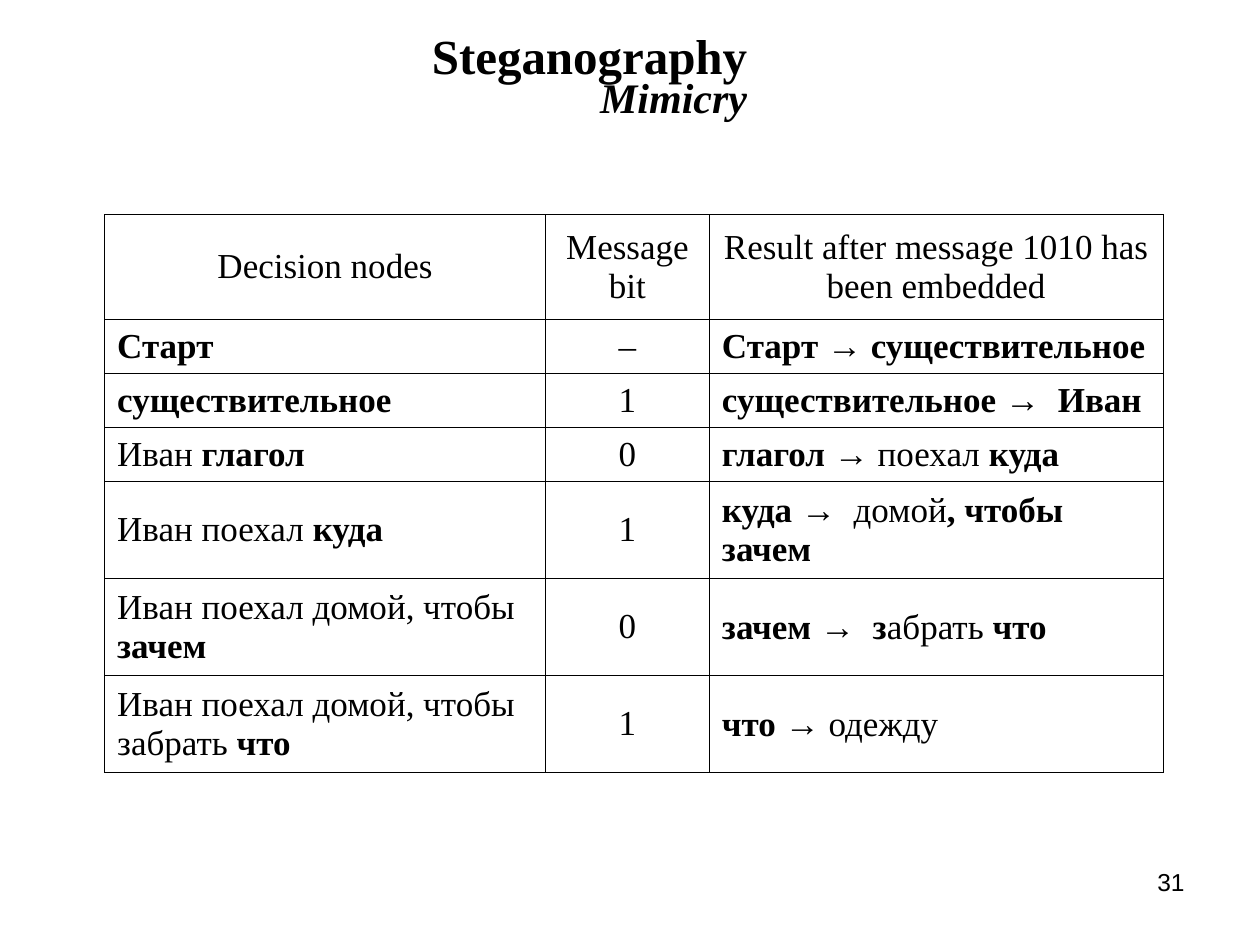
from lxml import etree
from pptx import Presentation, util as u
from pptx.dml.color import RGBColor
from pptx.enum import text as t
from pptx.oxml import ns

BLACK = RGBColor(0, 0, 0)
SERIF, SANS = "Times New Roman", "Arial"
WIDTH, HEIGHT = u.Inches(10), u.Inches(7.5)

# Asterisks enclose bold words.
ROWS = [
    ("Decision nodes", "Message bit", "Result after message 1010 has been embedded"),
    ("*Старт*", "–", "*Старт → существительное*"),
    ("*существительное*", "1", "*существительное →  Иван*"),
    ("Иван *глагол*", "0", "*глагол → *поехал *куда*"),
    ("Иван поехал *куда*", "1", "*куда →  *домой*, чтобы зачем*"),
    ("Иван поехал домой, чтобы *зачем*", "0", "*зачем →  з*абрать* что*"),
    ("Иван поехал домой, чтобы забрать* что*", "1", "*что → *одежду"),
]
COLUMN_SHARES = [0.35, 0.13, 0.36]
HEADER, SINGLE, DOUBLE = 0.83, 0.43, 0.77
ROW_INCHES = [HEADER] + [SINGLE] * 3 + [DOUBLE] * 3


def style(font, size, face=SERIF, bold=False):
    font.size, font.name, font.bold = u.Pt(size), face, bold
    font.color.rgb = BLACK


def draw_borders(cell):
    properties = cell._tc.get_or_add_tcPr()
    for position, side in enumerate(("a:lnL", "a:lnR", "a:lnT", "a:lnB")):
        line = etree.Element(ns.qn(side), w=str(u.Pt(0.45)))
        fill = etree.SubElement(line, ns.qn("a:solidFill"))
        etree.SubElement(fill, ns.qn("a:srgbClr"), val=str(BLACK))
        properties.insert(position, line)


deck = Presentation()
deck.slide_width, deck.slide_height = WIDTH, HEIGHT
slide = deck.slides.add_slide(deck.slide_layouts[5])

# Heading: both lines end at the same right edge
heading = slide.shapes.title
heading.left, heading.top = int(WIDTH * 0.24), int(HEIGHT * 0.028)
heading.width, heading.height = int(WIDTH * 0.533), int(HEIGHT * 0.1)
frame = heading.text_frame
frame.text = "Steganography\vMimicry"
frame.word_wrap = True
frame.auto_size = t.MSO_AUTO_SIZE.NONE
frame.vertical_anchor = t.MSO_ANCHOR.TOP
frame.margin_top = u.Inches(0.1)
frame.margin_right = int(WIDTH * 0.18)
lines = frame.paragraphs[0]
lines.alignment = t.PP_ALIGN.RIGHT
lines.line_spacing = 0.75
lines.space_before = u.Pt(0)
topic, subtopic = lines.runs
style(topic.font, 28, bold=True)
style(subtopic.font, 24, bold=True)
subtopic.font.italic = True

# Table of decisions
decisions = slide.shapes.add_table(
    len(ROWS), len(COLUMN_SHARES), int(WIDTH * 0.083), int(HEIGHT * 0.227),
    int(WIDTH * sum(COLUMN_SHARES)), u.Inches(sum(ROW_INCHES))).table
decisions.first_row = decisions.horz_banding = False
for column, share in zip(decisions.columns, COLUMN_SHARES):
    column.width = int(WIDTH * share)
for row, inches in zip(decisions.rows, ROW_INCHES):
    row.height = u.Inches(inches)

for r, row in enumerate(ROWS):
    for c, wording in enumerate(row):
        cell = decisions.cell(r, c)
        cell.fill.background()
        draw_borders(cell)
        cell.vertical_anchor = t.MSO_ANCHOR.MIDDLE
        paragraph = cell.text_frame.paragraphs[0]
        centred = r == 0 or c == 1
        paragraph.alignment = t.PP_ALIGN.CENTER if centred else t.PP_ALIGN.LEFT
        for i, segment in enumerate(wording.split("*")):
            for part in segment.partition("→"):
                if part:
                    run = paragraph.add_run()
                    run.text = part
                    style(run.font, 20, SANS if part == "→" else SERIF, i % 2 == 1)

# Page number
page = slide.shapes.add_textbox(
    int(WIDTH * 0.717), int(HEIGHT * 0.911), int(WIDTH * 0.233), int(HEIGHT * 0.07))
page.text_frame.word_wrap = True
page.text_frame.text = "31"
number = page.text_frame.paragraphs[0]
number.alignment = t.PP_ALIGN.RIGHT
style(number.runs[0].font, 14, SANS)

deck.save("out.pptx")
